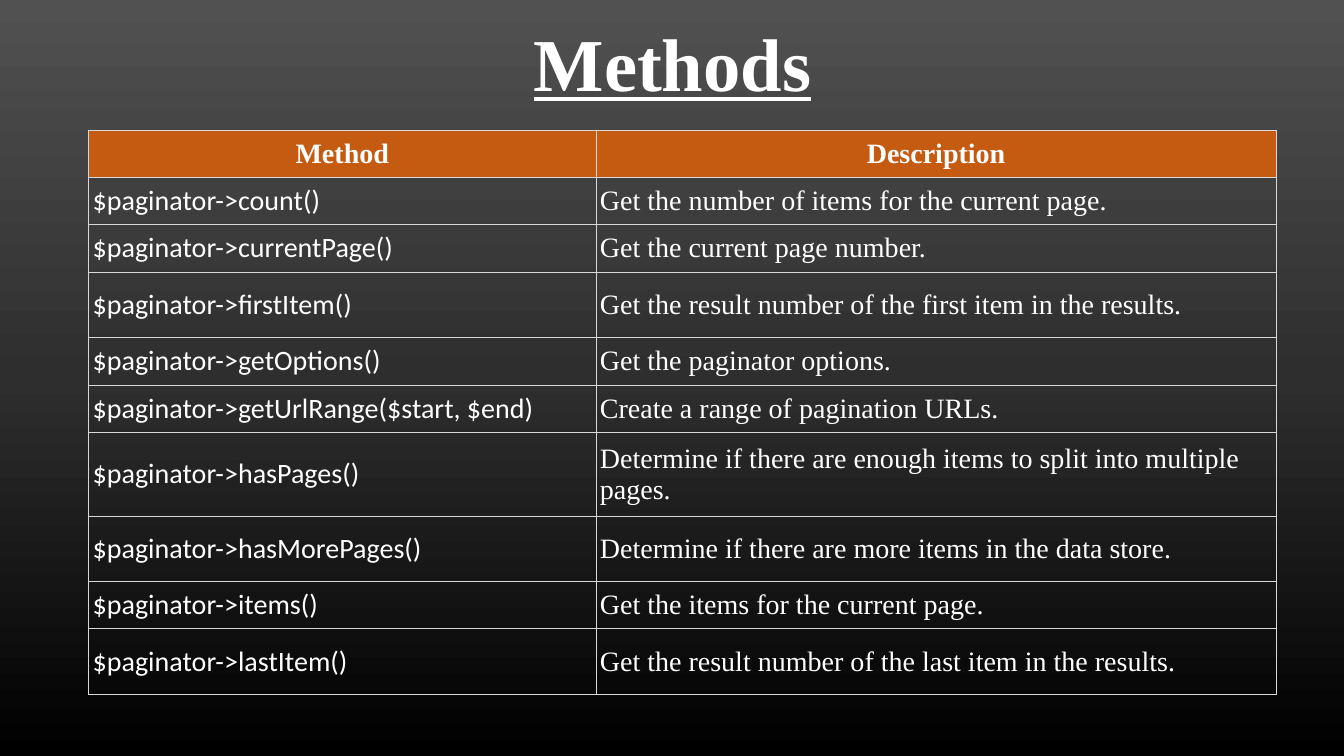
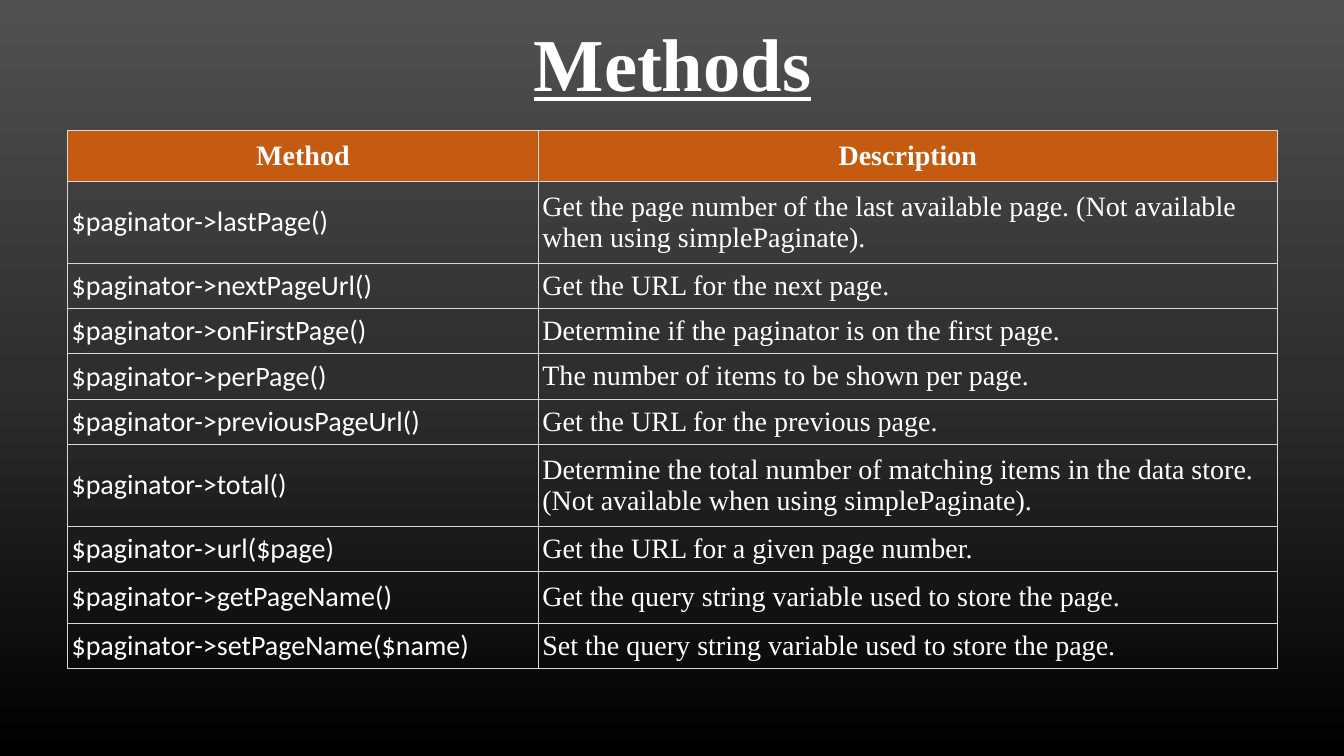
from copy import deepcopy

from lxml import etree
from pptx import Presentation
from pptx.dml.color import RGBColor
from pptx.enum.text import MSO_ANCHOR, PP_ALIGN
from pptx.oxml.ns import qn
from pptx.util import Inches, Pt

MIDDLE = MSO_ANCHOR.MIDDLE
LEFT, CENTER = PP_ALIGN.LEFT, PP_ALIGN.CENTER

WHITE = RGBColor(0xFF, 0xFF, 0xFF)
ORANGE = RGBColor(0xC5, 0x5A, 0x11)
BORDER = RGBColor(0xD7, 0xD7, 0xDC)
BACKDROP = [
    (0, RGBColor(0x51, 0x51, 0x51)),
    (0.5, RGBColor(0x2E, 0x2E, 0x2E)),
    (1, RGBColor(0, 0, 0)),
]

SERIF = "Times New Roman"
SANS = "Calibri"
TITLE_ONLY = 5
TABLE_TOP = 1.29
CELL_MARGIN = Inches(0.04)
HEADINGS = ("Method", "Description")

ITEM_METHODS = [
    ("$paginator->count()", "Get the number of items for the current page."),
    ("$paginator->currentPage()", "Get the current page number."),
    ("$paginator->firstItem()", "Get the result number of the first item in the results."),
    ("$paginator->getOptions()", "Get the paginator options."),
    ("$paginator->getUrlRange($start, $end)", "Create a range of pagination URLs."),
    ("$paginator->hasPages()", "Determine if there are enough items to split into multiple pages."),
    ("$paginator->hasMorePages()", "Determine if there are more items in the data store."),
    ("$paginator->items()", "Get the items for the current page."),
    ("$paginator->lastItem()", "Get the result number of the last item in the results."),
]
ITEM_HEIGHTS = [0.47, 0.47, 0.47, 0.65, 0.47, 0.47, 0.83, 0.65, 0.47, 0.65]

PAGE_METHODS = [
    ("$paginator->lastPage()",
     "Get the page number of the last available page. (Not available when using simplePaginate)."),
    ("$paginator->nextPageUrl()", "Get the URL for the next page."),
    ("$paginator->onFirstPage()", "Determine if the paginator is on the first page."),
    ("$paginator->perPage()", "The number of items to be shown per page."),
    ("$paginator->previousPageUrl()", "Get the URL for the previous page."),
    ("$paginator->total()",
     "Determine the total number of matching items in the data store. "
     "(Not available when using simplePaginate)."),
    ("$paginator->url($page)", "Get the URL for a given page number."),
    ("$paginator->getPageName()", "Get the query string variable used to store the page."),
    ("$paginator->setPageName($name)", "Set the query string variable used to store the page."),
]
PAGE_HEIGHTS = [0.51, 0.81, 0.45, 0.45, 0.45, 0.45, 0.81, 0.45, 0.51, 0.45]


def set_backdrop(master):
    fill = master.background.fill
    fill.gradient()
    fill.gradient_angle = 270
    stops = next(master.element.iter(qn("a:gsLst")))
    stops.append(deepcopy(stops[0]))
    for stop, (position, color) in zip(fill.gradient_stops, BACKDROP):
        stop.position = position
        stop.color.rgb = color


def style_text(paragraph, font_name, size, bold, align):
    paragraph.alignment = align
    font = paragraph.font
    font.name = font_name
    font.size = Pt(size)
    font.bold = bold
    font.color.rgb = WHITE


def add_title(slide, text):
    title = slide.shapes.title
    title.left, title.top = Inches(0.67), Inches(0.04)
    title.width, title.height = Inches(12), Inches(1.25)
    title.text_frame.text = text
    title.text_frame.vertical_anchor = MIDDLE
    heading = title.text_frame.paragraphs[0]
    heading.line_spacing = 0.9
    style_text(heading, SERIF, 53.3, True, CENTER)
    heading.font.underline = True


def add_borders(cell):
    properties = cell._tc.get_or_add_tcPr()
    for index, side in enumerate(("lnL", "lnR", "lnT", "lnB")):
        line = etree.Element(qn(f"a:{side}"), w=str(Pt(0.6)))
        solid = etree.SubElement(line, qn("a:solidFill"))
        etree.SubElement(solid, qn("a:srgbClr"), val=str(BORDER))
        properties.insert(index, line)


def fill_cell(cell, text, font_name, is_heading):
    cell.text = text
    cell.vertical_anchor = MIDDLE
    cell.margin_left = cell.margin_right = CELL_MARGIN
    cell.margin_top = cell.margin_bottom = CELL_MARGIN
    style_text(cell.text_frame.paragraphs[0], font_name, 20, is_heading,
               CENTER if is_heading else LEFT)
    if is_heading:
        cell.fill.solid()
        cell.fill.fore_color.rgb = ORANGE
    else:
        cell.fill.background()
    add_borders(cell)


def add_method_table(slide, left, widths, heights, methods):
    table = slide.shapes.add_table(
        len(heights), len(widths), Inches(left), Inches(TABLE_TOP),
        Inches(sum(widths)), Inches(sum(heights))).table
    table.horz_banding = False
    for column, width in zip(table.columns, widths):
        column.width = Inches(width)
    for index, (row, height, texts) in enumerate(zip(table.rows, heights, [HEADINGS] + methods)):
        row.height = Inches(height)
        is_heading = index == 0
        fonts = (SERIF if is_heading else SANS, SERIF)
        for cell, text, font_name in zip(row.cells, texts, fonts):
            fill_cell(cell, text, font_name, is_heading)


def main():
    deck = Presentation()
    deck.slide_width, deck.slide_height = Inches(13.33), Inches(7.5)
    set_backdrop(deck.slide_master)
    for left, widths, heights, methods in (
        (0.88, (5.03, 6.75), ITEM_HEIGHTS, ITEM_METHODS),
        (0.67, (4.67, 7.33), PAGE_HEIGHTS, PAGE_METHODS),
    ):
        slide = deck.slides.add_slide(deck.slide_layouts[TITLE_ONLY])
        add_title(slide, "Methods")
        add_method_table(slide, left, widths, heights, methods)
    deck.save("out.pptx")


if __name__ == "__main__":
    main()
